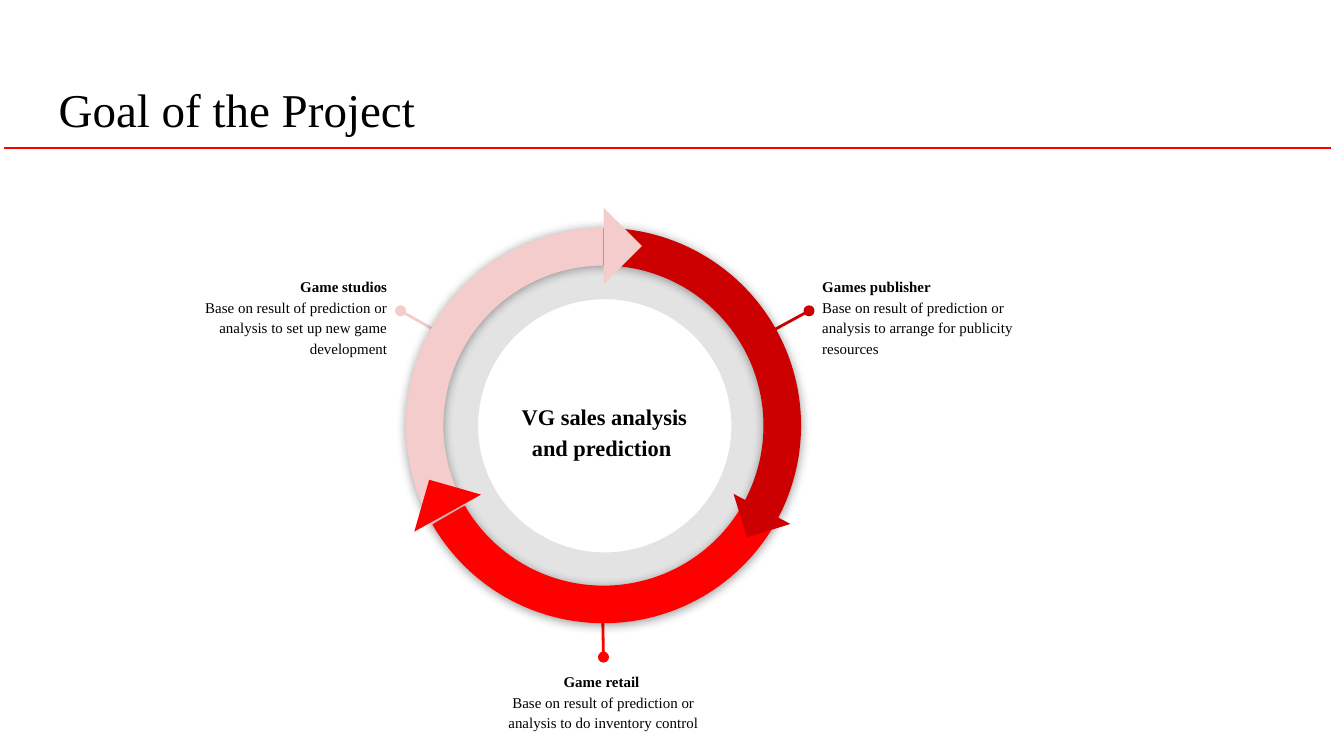
"""Build the project goal slide: a three-arrow cycle with labelled callouts."""
import dataclasses

import lxml.etree
import pptx
import pptx.dml.color
import pptx.enum.shapes
import pptx.enum.text
import pptx.oxml.ns
import pptx.util

Cm = pptx.util.Cm
Align = pptx.enum.text.PP_ALIGN
Anchor = pptx.enum.text.MSO_ANCHOR
Shape = pptx.enum.shapes.MSO_SHAPE
qn = pptx.oxml.ns.qn


@dataclasses.dataclass(frozen=True)
class Theme:
    font: str = "Times New Roman"
    text: str = "000000"
    red: str = "FF0000"
    dark: str = "CC0000"
    pale: str = "F4CCCC"
    title_size: float = 25.2
    center_size: float = 12
    label_size: float = 8
    rule_width: float = 0.75
    callout_width: float = 1.5


THEME = Theme()


def rgb(color):
    return pptx.dml.color.RGBColor.from_string(color)


def set_values(target, values):
    for name, value in values.items():
        setattr(target, name, value)


def add_xml(parent, tag, **attributes):
    element = lxml.etree.SubElement(parent, qn(tag))
    for name, value in attributes.items():
        element.set(name, str(value))
    return element


def add_text(slide, box, lines, size, align=Align.LEFT, anchor=Anchor.TOP, spacing=1.15):
    """Add a text box; lines holds (text, bold) pairs, one per paragraph."""
    shape = slide.shapes.add_textbox(*map(Cm, box))
    frame = shape.text_frame
    margins = dict.fromkeys(("margin_left", "margin_top", "margin_right", "margin_bottom"), Cm(0.25))
    set_values(frame, {"word_wrap": True, "vertical_anchor": anchor, **margins})
    for index, (text, bold) in enumerate(lines):
        paragraph = frame.add_paragraph() if index else frame.paragraphs[0]
        set_values(paragraph, {"alignment": align, "line_spacing": spacing})
        run = paragraph.add_run()
        run.text = text
        set_values(run.font, {"name": THEME.font, "size": pptx.util.Pt(size), "bold": bold})
        run.font.color.rgb = rgb(THEME.text)
    return shape


def add_line(slide, start, end, color, width):
    line = slide.shapes.add_connector(
        pptx.enum.shapes.MSO_CONNECTOR.STRAIGHT, *map(Cm, start + end))
    line.line.color.rgb = rgb(color)
    line.line.width = pptx.util.Pt(width)
    add_xml(line._element.spPr, "a:effectLst")
    return line


def add_filled(slide, kind, left, top, size, color, rotation=0, adjustments=()):
    """Add a square-framed preset shape without outline or shadow."""
    shape = slide.shapes.add_shape(kind, Cm(left), Cm(top), Cm(size), Cm(size))
    for index, value in enumerate(adjustments):
        shape.adjustments[index] = value
    shape.rotation = rotation
    shape.shadow.inherit = False
    shape.fill.solid()
    shape.fill.fore_color.rgb = rgb(color)
    shape.line.fill.background()
    return shape


def add_ring(slide):
    ring = add_filled(slide, Shape.DONUT, 7.9, 4.52, 7.06, THEME.text, adjustments=[0.161])
    color = ring._element.spPr.find(qn("a:solidFill"))[0]
    add_xml(color, "a:alpha", val=11000)


def add_arc(slide, color, rotation):
    """Add a third of the cycle with a soft shadow."""
    arc = add_filled(slide, Shape.BLOCK_ARC, 7.67, 4.31, 7.47, color, rotation,
                     [144, 0, 0.095])
    effects = arc._element.spPr.find(qn("a:effectLst"))
    shadow = add_xml(effects, "a:outerShdw", blurRad=pptx.util.Pt(5.6),
                     dist=pptx.util.Pt(0.8), dir=5400000, rotWithShape=0)
    add_xml(add_xml(shadow, "a:srgbClr", val=THEME.text), "a:alpha", val=40000)


def add_callout(slide, left, top, heading, body, align, color, site, end):
    """Add a label joined to the cycle by a line with a round head."""
    label = add_text(slide, (left, top, 4.17, 1.85), [(heading, True), (body, False)],
                     THEME.label_size, align)
    line = add_line(slide, (left, top), end, color, THEME.callout_width)
    line.begin_connect(label, site)
    add_xml(line.line._get_or_add_ln(), "a:headEnd", type="oval")


def main():
    presentation = pptx.Presentation()
    set_values(presentation, {"slide_width": Cm(25.4), "slide_height": Cm(14.29)})
    slide = presentation.slides.add_slide(presentation.slide_layouts[6])

    add_line(slide, (0.08, 2.8), (25.15, 2.8), THEME.red, THEME.rule_width)
    add_text(slide, (0.86, 1.24, 23.67, 1.6), [("Goal of the Project", False)],
             THEME.title_size, anchor=Anchor.BOTTOM, spacing=1.0)
    add_ring(slide)

    goal = "Base on result of prediction or analysis to "
    callouts = [
        (3.4, 4.95, "Game studios", "set up new game development",
         Align.RIGHT, THEME.pale, 3, (8.76, 6.55)),
        (15.29, 4.95, "Games publisher", "arrange for publicity resources",
         Align.LEFT, THEME.dark, 1, (14.05, 6.55)),
        (9.32, 12.42, "Game retail ", "do inventory control",
         Align.CENTER, THEME.red, 0, (11.38, 11.1)),
    ]
    for left, top, heading, purpose, *style in callouts:
        add_callout(slide, left, top, heading, goal + purpose, *style)
    add_text(slide, (9.42, 7.01, 4.01, 2.24), [("VG sales analysis and prediction ", True)],
             THEME.center_size, Align.CENTER, Anchor.MIDDLE)

    add_arc(slide, THEME.dark, 30)
    add_arc(slide, THEME.pale, 270)
    add_filled(slide, Shape.RIGHT_TRIANGLE, 10.9, 4.14, 1.02, THEME.pale, 225)
    add_arc(slide, THEME.red, 150)
    add_filled(slide, Shape.RIGHT_TRIANGLE, 13.97, 9.19, 0.86, THEME.dark, 342.9)
    add_filled(slide, Shape.RIGHT_TRIANGLE, 7.95, 9.19, 1.02, THEME.red, 106)
    presentation.save("out.pptx")


if __name__ == "__main__":
    main()
